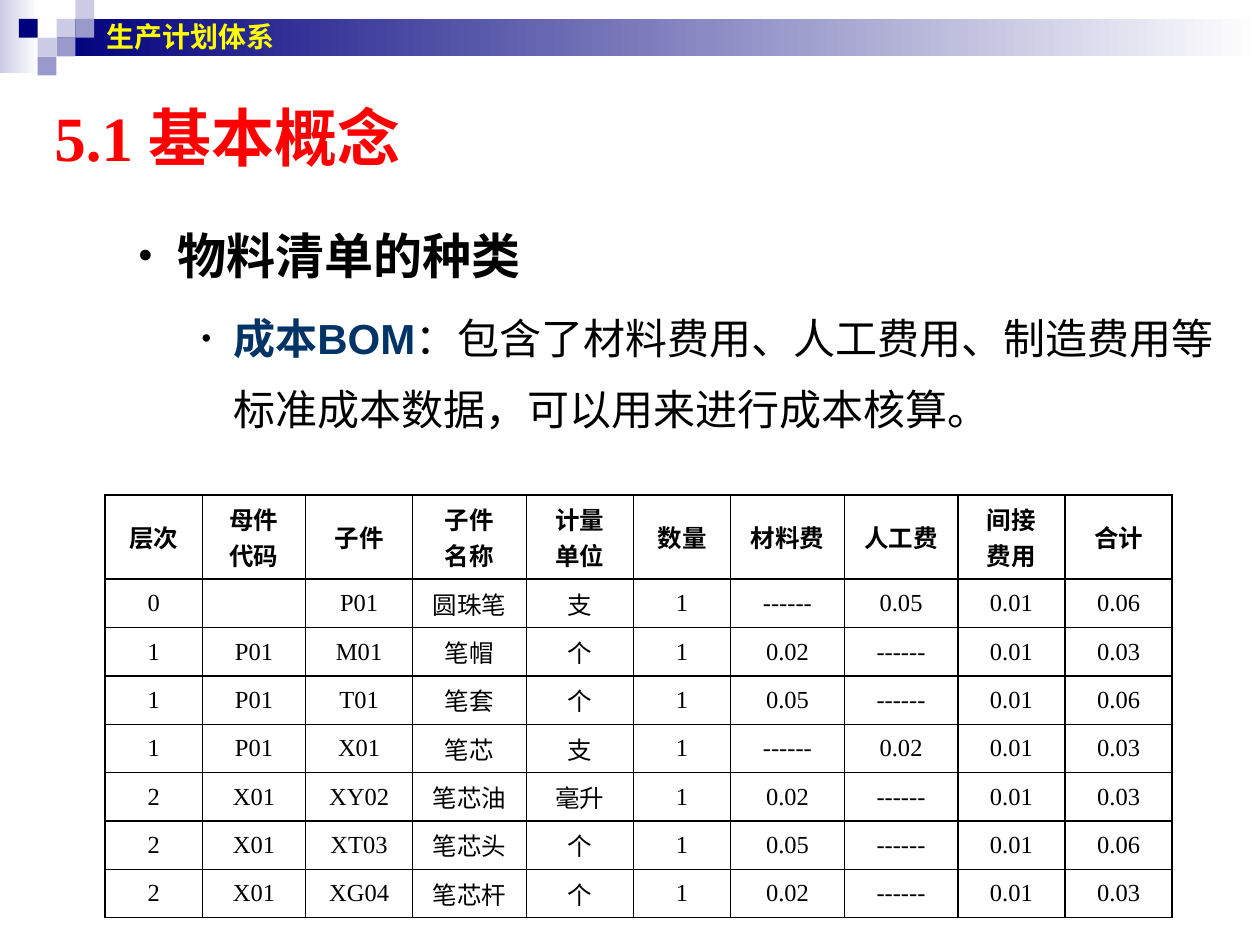
"""Build the cost BOM slide of the production planning course."""
from lxml import etree
from pptx import Presentation
from pptx.dml.color import RGBColor
from pptx.enum.shapes import MSO_SHAPE
from pptx.enum.text import MSO_ANCHOR, MSO_AUTO_SIZE, PP_ALIGN
from pptx.oxml.ns import qn
from pptx.util import Cm, Pt

RECTANGLE = MSO_SHAPE.RECTANGLE
MIDDLE, TOP = MSO_ANCHOR.MIDDLE, MSO_ANCHOR.TOP
NO_FIT = MSO_AUTO_SIZE.NONE
LEFT, CENTER = PP_ALIGN.LEFT, PP_ALIGN.CENTER

COLORS = {
    "navy": "00007D", "lilac": "CCCCE6", "violet": "9999CC", "white": "FFFFFF",
    "black": "000000", "blue": "003366", "yellow": "FFFF00", "red": "FF0000",
}
SANS, SERIF = "Arial", "Times New Roman"
SQUARE = 0.38
SQUARES = [
    (3, 1, "lilac"), (4, 0, "lilac"), (4, 1, "violet"), (2, 2, "lilac"),
    (1, 1, "navy"), (3, 2, "violet"), (2, 3, "violet"),
]
COLUMN_WIDTHS = [1.96, 2.08, 2.16, 2.29, 2.16, 1.96, 2.29, 2.29, 2.16, 2.16]
HEADER_HEIGHT, ROW_HEIGHT = 1.45, 0.88
BOM_ROWS = [
    ["层次", "母件\n代码", "子件", "子件\n名称", "计量\n单位",
     "数量", "材料费", "人工费", "间接\n费用", "合计"],
    ["0", "", "P01", "圆珠笔", "支", "1", "------", "0.05", "0.01", "0.06"],
    ["1", "P01", "M01", "笔帽", "个", "1", "0.02", "------", "0.01", "0.03"],
    ["1", "P01", "T01", "笔套", "个", "1", "0.05", "------", "0.01", "0.06"],
    ["1", "P01", "X01", "笔芯", "支", "1", "------", "0.02", "0.01", "0.03"],
    ["2", "X01", "XY02", "笔芯油", "毫升", "1", "0.02", "------", "0.01", "0.03"],
    ["2", "X01", "XT03", "笔芯头", "个", "1", "0.05", "------", "0.01", "0.06"],
    ["2", "X01", "XG04", "笔芯杆", "个", "1", "0.02", "------", "0.01", "0.03"],
]


class SlideBuilder:
    """Hold the style and the current slide."""

    def __init__(self, page):
        """Keep the slide to draw on."""
        self.page = page

    def color(self, name):
        """Return a named colour."""
        return RGBColor.from_string(COLORS[name])

    def style(self, font, size=None, color=None, bold=None, name=None):
        """Set the given font properties."""
        if size:
            font.size = Pt(size)
        if name:
            font.name = name
        if color:
            font.color.rgb = self.color(color)
        font.bold = bold

    def place(self, box, left, top, width, height, anchor):
        """Move a text shape and set its frame."""
        box.left, box.top, box.width, box.height = map(Cm, (left, top, width, height))
        frame = box.text_frame
        frame.word_wrap = True
        frame.auto_size = NO_FIT
        frame.vertical_anchor = anchor
        return frame

    def rectangle(self, left, top, width, height, color, fade_to=None):
        """Draw a plain or fading rectangle without a line."""
        box = self.page.shapes.add_shape(
            RECTANGLE, Cm(left), Cm(top), Cm(width), Cm(height))
        box.shadow.inherit = False
        box.line.fill.background()
        if fade_to:
            box.fill.gradient()
            box.fill.gradient_angle = 0
            for stop, name in zip(box.fill.gradient_stops, (color, fade_to)):
                stop.color.rgb = self.color(name)
        else:
            box.fill.solid()
            box.fill.fore_color.rgb = self.color(color)

    def title(self, text, *place):
        """Fill the title placeholder."""
        frame = self.place(self.page.shapes.title, *place, MIDDLE)
        frame.text = text
        para = frame.paragraphs[0]
        para.alignment = LEFT
        self.style(para.font, 36, "red", True, SERIF)

    def label(self, text, *place):
        """Add the chapter label."""
        box = self.page.shapes.add_textbox(0, 0, 0, 0)
        frame = self.place(box, *place, MIDDLE)
        frame.text = text
        self.style(frame.paragraphs[0].font, 16, "yellow", True, SANS)

    def body(self, *place):
        """Return the text frame of the body placeholder."""
        return self.place(self.page.placeholders[1], *place, TOP)

    def bullet(self, para, level, margin, hanging, percent, spacing, before, size, spans):
        """Write a bulleted paragraph from (text, colour, bold) spans."""
        para.level = level
        para.line_spacing = spacing
        para.space_before = Pt(before)
        properties = para._p.get_or_add_pPr()
        properties.set("marL", str(Cm(margin)))
        properties.set("indent", str(-Cm(hanging)))
        bullet_color = etree.SubElement(properties, qn("a:buClr"))
        etree.SubElement(bullet_color, qn("a:srgbClr"), val=COLORS["black"])
        etree.SubElement(properties, qn("a:buSzPct"), val=str(percent * 1000))
        etree.SubElement(properties, qn("a:buFont"), typeface=SANS)
        etree.SubElement(properties, qn("a:buChar"), char="•")
        self.style(para.font, size, name=SANS)
        for text, color, bold in spans:
            span = para.add_run()
            span.text = text
            self.style(span.font, color=color, bold=bold)

    def cell(self, cell, text, bold):
        """Write a centred, bordered table cell."""
        cell.text = text
        cell.vertical_anchor = MIDDLE
        cell.fill.background()
        for para in cell.text_frame.paragraphs:
            para.alignment = CENTER
            self.style(para.font, 14, "black", bold, SERIF)
        properties = cell._tc.get_or_add_tcPr()
        for index, side in enumerate(("lnL", "lnR", "lnT", "lnB")):
            border = etree.Element(qn(f"a:{side}"), w=str(Pt(1)))
            fill = etree.SubElement(border, qn("a:solidFill"))
            etree.SubElement(fill, qn("a:srgbClr"), val=COLORS["black"])
            properties.insert(index, border)

    def table(self, rows, left, top):
        """Add a table with a bold header row."""
        height = HEADER_HEIGHT + ROW_HEIGHT * (len(rows) - 1)
        table = self.page.shapes.add_table(
            len(rows), len(COLUMN_WIDTHS), Cm(left), Cm(top),
            Cm(sum(COLUMN_WIDTHS)), Cm(height)).table
        table.first_row = table.horz_banding = False
        for column, width in zip(table.columns, COLUMN_WIDTHS):
            column.width = Cm(width)
        for r, values in enumerate(rows):
            table.rows[r].height = Cm(ROW_HEIGHT if r else HEADER_HEIGHT)
            for c, text in enumerate(values):
                self.cell(table.cell(r, c), text, r == 0)


def main():
    """Build and save the slide."""
    deck = Presentation()
    deck.slide_width, deck.slide_height = Cm(25.4), Cm(19.05)
    builder = SlideBuilder(deck.slides.add_slide(deck.slide_layouts[1]))

    builder.rectangle(0, 0, 0.79, 1.47, "lilac", "white")
    builder.rectangle(1.14, SQUARE, 24.26, 0.76, "navy", "white")
    for column, row, color in SQUARES:
        builder.rectangle(column * SQUARE, row * SQUARE, SQUARE, SQUARE, color)

    frame = builder.body(1.27, 4.65, 23.5, 4.24)
    builder.bullet(frame.paragraphs[0], 1, 2.06, 0.79, 80, 0.8, 0, 28,
                   [("物料清单的种类", "black", True)])
    builder.bullet(frame.add_paragraph(), 2, 3.18, 0.64, 65, 1.4, 5, 24, [
        ("成本BOM", "blue", True),
        ("：包含了材料费用、人工费用、制造费用等标准成本数据，可以用来进行成本核算。",
         "black", False),
    ])
    builder.table(BOM_ROWS, 2.12, 9.98)
    builder.label("生产计划体系", 1.9, 0, 22.43, 1.47)
    builder.title("5.1 基本概念", 0.84, 1.9, 22.86, 1.7)
    deck.save("out.pptx")


if __name__ == "__main__":
    main()
